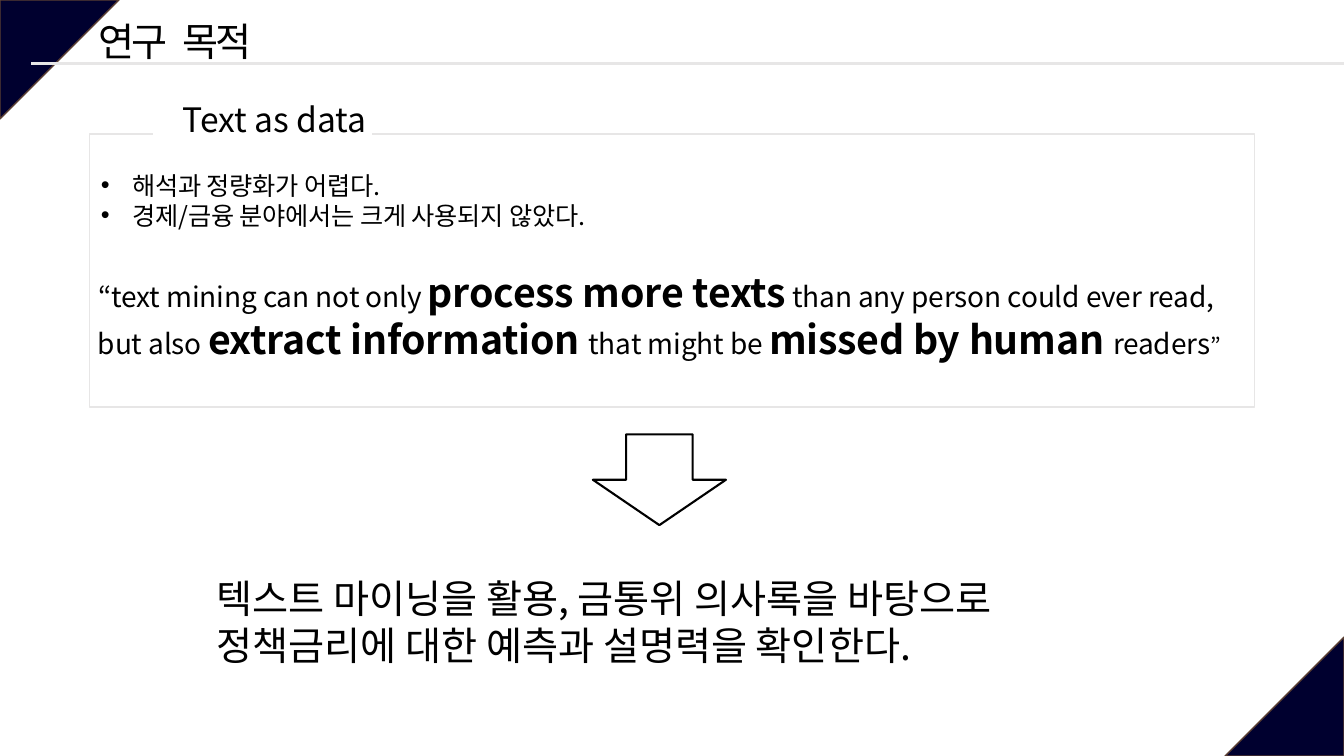
from pptx import Presentation
from pptx import util as u
from pptx.dml.color import RGBColor
from pptx.enum import shapes, text
from pptx.oxml.ns import qn
from lxml import etree

THEME = dict(
    font="Noto Sans CJK KR",
    ink="000000", paper="FFFFFF", navy="00002F", edge="5B3F33", rule="E7E6E6",
    small=16, body=18, quote=20, heading=24, large=28,
)

# Content: a run is (text, size name, bold, letter spacing in points)
TITLE = [[("연구", "large", False, -2.6), (" ", "large", False, 5),
          ("목적", "large", False, -2.6)]]
HEADING = [("Text as data", "heading", False, 0)]
POINTS = ["해석과 정량화가 어렵다.", "경제/금융 분야에서는 크게 사용되지 않았다."]
QUOTE = [
    [("“text mining can not only ", "quote", False, -0.1),
     ("process more texts", "large", True, -0.1),
     (" ", "quote", True, -0.1),
     ("than any person could ever read, ", "quote", False, -0.1)],
    [("but also ", "quote", False, -0.1),
     ("extract information ", "large", True, -0.1),
     ("that might be ", "quote", False, -0.1),
     ("missed by human ", "large", True, -0.1),
     ("readers", "quote", False, -0.1),
     ("”", "small", False, -0.1)],
]
GOAL = [[(line, "large", False, 0)] for line in (
    "텍스트 마이닝을 활용, 금통위 의사록을 바탕으로",
    "정책금리에 대한 예측과 설명력을 확인한다.")]

WIDTH, HEIGHT, CORNER = 13.33, 7.5, 1.18
TIGHT = (0, 0.01, 0, 0)
PADDED = (0.1, 0.05, 0.1, 0.05)


def color(name):
    return RGBColor.from_string(THEME[name])


def add_box(slide, kind, at, fill=None, line=None, weight=1):
    sp = slide.shapes.add_shape(kind, *map(u.Inches, at))
    sp.shadow.inherit = False
    if fill:
        sp.fill.solid()
        sp.fill.fore_color.rgb = color(fill)
    else:
        sp.fill.background()
    if line:
        sp.line.color.rgb = color(line)
        sp.line.width = u.Pt(weight)
    else:
        sp.line.fill.background()
    return sp


def add_text(slide, at, paragraphs, insets=PADDED, wrap=True, align=None):
    tf = slide.shapes.add_textbox(*map(u.Inches, at)).text_frame
    tf.word_wrap = wrap
    tf.auto_size = text.MSO_AUTO_SIZE.SHAPE_TO_FIT_TEXT
    (tf.margin_left, tf.margin_top,
     tf.margin_right, tf.margin_bottom) = map(u.Inches, insets)
    for i, runs in enumerate(paragraphs):
        p = tf.paragraphs[0] if i == 0 else tf.add_paragraph()
        p.alignment = align
        for words, size, bold, spacing in runs:
            r = p.add_run()
            r.text = words
            r.font.name = THEME["font"]
            r.font.size = u.Pt(THEME[size])
            r.font.bold = bold
            r.font.color.rgb = color("ink")
            rPr = r.font._element
            rPr.set("spc", str(round(spacing * 100)))
            rPr.find(qn("a:latin")).addnext(
                etree.Element(qn("a:ea"), typeface=THEME["font"]))
    return tf


def indent(p, left, first=0, bullet=None):
    pPr = p._p.get_or_add_pPr()
    pPr.set("marL", str(u.Inches(left)))
    pPr.set("indent", str(u.Inches(first)))
    if bullet:
        etree.SubElement(pPr, qn("a:buFont"), typeface="Arial")
        etree.SubElement(pPr, qn("a:buChar"), char=bullet)


def main():
    prs = Presentation()
    prs.slide_width, prs.slide_height = u.Inches(WIDTH), u.Inches(HEIGHT)
    s = prs.slides.add_slide(prs.slide_layouts[6])

    # Corner triangles
    for left, top, turn in ((0, 0, 90), (WIDTH - CORNER, HEIGHT - CORNER, 270)):
        corner = add_box(s, shapes.MSO_SHAPE.ISOSCELES_TRIANGLE,
                         (left, top, CORNER, CORNER), "navy", "edge")
        corner.adjustments[0] = 0
        corner.rotation = turn

    # Title and its rule
    rule = s.shapes.add_connector(
        shapes.MSO_CONNECTOR.STRAIGHT,
        *map(u.Inches, (0.31, 0.63, WIDTH, 0.63)))
    rule.line.color.rgb = color("rule")
    rule.line.width = u.Pt(2.28)
    etree.SubElement(rule._element.spPr, qn("a:effectLst"))
    title = add_text(s, (0.98, 0.16, 2.77, 0.49), TITLE, TIGHT)
    title.paragraphs[0].space_before = u.Pt(1)

    # Frame, opened behind its heading
    add_box(s, shapes.MSO_SHAPE.RECTANGLE, (0.89, 1.33, 11.55, 2.71),
            line="rule", weight=0.96)
    add_box(s, shapes.MSO_SHAPE.RECTANGLE, (1.52, 1.06, 2.17, 0.54), "paper")

    # Heading and bullet points
    points = [[(point, "body", False, -0.1)] for point in POINTS]
    notes = add_text(s, (0.98, 0.97, 11.55, 1.63), [HEADING] + points, TIGHT)
    heading, *bullets = notes.paragraphs
    heading.space_before = u.Pt(1)
    indent(heading, 0.83)
    bullets[0].space_before = u.Pt(22)
    for p in bullets:
        indent(p, 0.33, -0.31, "•")

    # Quotation
    add_text(s, (0.55, 2.61, 11.98, 1.04), QUOTE, align=text.PP_ALIGN.CENTER)

    # Arrow down to the goal
    add_box(s, shapes.MSO_SHAPE.DOWN_ARROW, (5.88, 4.31, 1.32, 0.9),
            "paper", "ink", 1.5)
    add_text(s, (2.05, 5.65, 8.97, 1.04), GOAL, wrap=False)

    prs.save("out.pptx")


if __name__ == "__main__":
    main()
